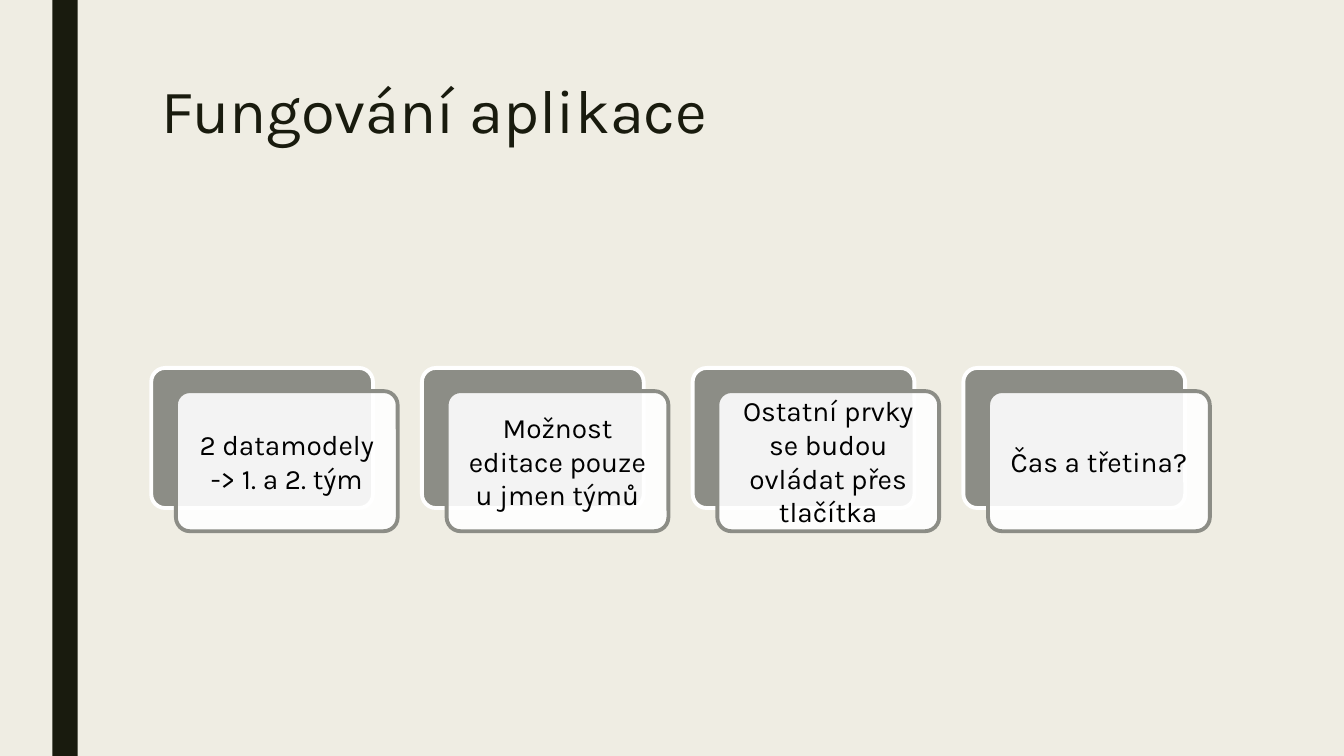
from lxml.etree import SubElement
from pptx import Presentation
from pptx.dml.color import RGBColor
from pptx.enum.shapes import MSO_SHAPE
from pptx.enum.text import MSO_ANCHOR, PP_ALIGN
from pptx.oxml.ns import qn
from pptx.util import Inches, Pt

TITLE = "Fungování aplikace"
STEPS = [
    "2 datamodely -> 1. a 2. tým",
    "Možnost editace pouze u jmen týmů",
    "Ostatní prvky se budou ovládat přes tlačítka",
    "Čas a třetina?",
]

FONT = "Karla"
CREAM, DARK, GRAY, WHITE, BLACK = "EFEDE3", "191B0E", "8C8D86", "FFFFFF", "000000"
LEFT, TOP, PITCH = 1.5, 3.65, 2.685
CARD_WIDTH, CARD_HEIGHT = 2.2, 1.39
SHIFT_X, SHIFT_Y = 0.245, 0.23
INSET = Inches(0.08)


def paint(color_format, color):
    color_format.rgb = RGBColor.from_string(color)


def fill_with(fill, color):
    fill.solid()
    paint(fill.fore_color, color)


def set_font(paragraph, size, color):
    paragraph.font.name = FONT
    paragraph.font.size = Pt(size)
    paint(paragraph.font.color, color)


def add_card(slide, left, top, fill, border):
    card = slide.shapes.add_shape(
        MSO_SHAPE.ROUNDED_RECTANGLE,
        Inches(left), Inches(top), Inches(CARD_WIDTH), Inches(CARD_HEIGHT),
    )
    card.adjustments[0] = 0.1
    card.shadow.inherit = False
    fill_with(card.fill, fill)
    paint(card.line.color, border)
    card.line.width = Pt(2.75)
    return card


def add_step(slide, step, left):
    add_card(slide, left, TOP, GRAY, WHITE)
    front = add_card(slide, left + SHIFT_X, TOP + SHIFT_Y, WHITE, GRAY)
    fill_color = front.fill._xPr.find(qn("a:solidFill"))[0]
    SubElement(fill_color, qn("a:alpha"), val="90000")
    frame = front.text_frame
    frame.word_wrap = True
    frame.vertical_anchor = MSO_ANCHOR.MIDDLE
    frame.margin_left = frame.margin_right = INSET
    frame.margin_top = frame.margin_bottom = INSET
    frame.text = step
    paragraph = frame.paragraphs[0]
    paragraph.alignment = PP_ALIGN.CENTER
    set_font(paragraph, 20, BLACK)


def main():
    deck = Presentation()
    deck.slide_width, deck.slide_height = Inches(13.33), Inches(7.5)
    slide = deck.slides.add_slide(deck.slide_layouts[5])
    fill_with(slide.background.fill, CREAM)

    stripe = slide.shapes.add_shape(
        MSO_SHAPE.RECTANGLE, Inches(0.52), 0, Inches(0.25), deck.slide_height
    )
    stripe.shadow.inherit = False
    fill_with(stripe.fill, DARK)
    stripe.line.fill.background()

    title = slide.shapes.title
    title.left, title.top = Inches(LEFT), Inches(0.75)
    title.width, title.height = Inches(10.5), Inches(1.62)
    title.text_frame.text = TITLE
    title.text_frame.vertical_anchor = MSO_ANCHOR.TOP
    heading = title.text_frame.paragraphs[0]
    heading.alignment = PP_ALIGN.LEFT
    heading.line_spacing = 0.89
    set_font(heading, 44, DARK)

    for index, step in enumerate(STEPS):
        add_step(slide, step, LEFT + index * PITCH)

    deck.save("out.pptx")


if __name__ == "__main__":
    main()
